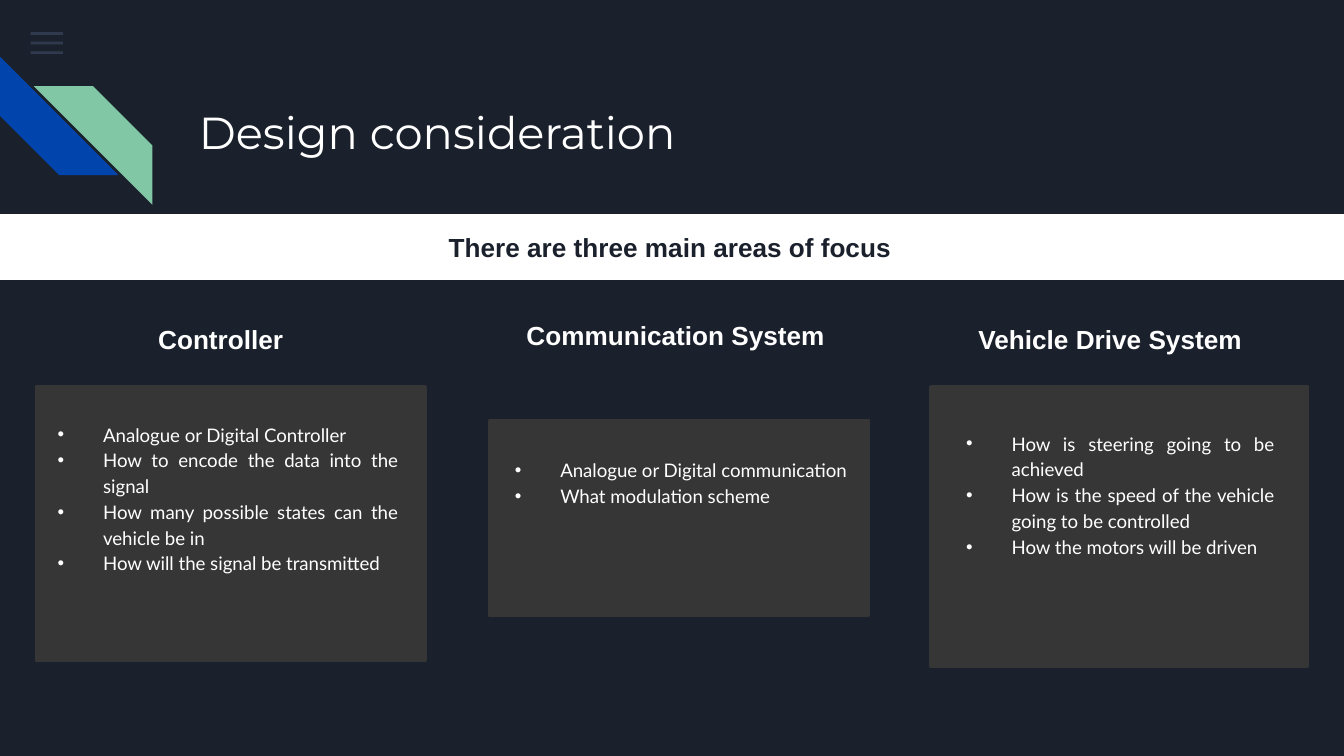
from pptx import Presentation
from pptx.util import Cm, Pt
from pptx.dml.color import RGBColor as RGB
from pptx.enum.shapes import MSO_SHAPE as Kind
from pptx.enum.text import PP_ALIGN as Align
from pptx.oxml.ns import qn
from lxml.etree import SubElement as Sub

WHITE, DARK, GREY = "FFFFFF", "1B212C", "363636"


def block(kind, place, color, edge=False):
    """Add a filled shape, with a 2 pt edge of the same colour if asked."""
    shape = slide.shapes.add_shape(kind, *map(Cm, place))
    shape.shadow.inherit = False
    shape.fill.solid()
    shape.fill.fore_color.rgb = RGB.from_string(color)
    if edge:
        shape.line.color.rgb = RGB.from_string(color)
        shape.line.width = Pt(2)
    else:
        shape.line.fill.background()
    return shape


def write(place, text, font, size, color, bold=False):
    """Add a wrapped text box, one paragraph per line of text."""
    box = slide.shapes.add_textbox(*map(Cm, place))
    frame = box.text_frame
    frame.word_wrap = True
    frame.text = text
    for para in frame.paragraphs:
        for run in para.runs:
            run.font.name = font
            run.font.size = Pt(size)
            run.font.bold = bold
            run.font.color.rgb = RGB.from_string(color)
    return frame


deck = Presentation()
deck.slide_width, deck.slide_height = Cm(25.4), Cm(14.29)
slide = deck.slides.add_slide(deck.slide_layouts[6])
slide.background.fill.solid()
slide.background.fill.fore_color.rgb = RGB.from_string(DARK)

# Menu icon
for row in range(3):
    bar = block(Kind.RECTANGLE, (0.58, 0.61 + 0.18 * row, 0.61, 0.05), "55688B")
    tint = bar.fill._xPr.find(qn("a:solidFill"))[0]
    Sub(tint, qn("a:alpha"), val="36000")

# Corner stripes
for left, top, turn, color in [(0, 1.07, 270, "0145AC"), (0.64, 1.63, 90, "82C7A5")]:
    stripe = block(Kind.DIAGONAL_STRIPE, (left, top, 2.24, 2.24), color)
    stripe.rotation = turn

# Title and banner
title = write((3.51, 1.73, 19.56, 2.54), "Design consideration", "Montserrat", 24, WHITE)
title.margin_left = title.margin_top = Cm(0.25)
block(Kind.RECTANGLE, (0, 4.09, 25.83, 1.17), WHITE, edge=True)
write((8.23, 4.24, 9.4, 0.86), "There are three main areas of focus", "Arial", 14, DARK, True)

# Columns: heading, its place, panel, list place, points
columns = [
    ("Controller", (2.74, 5.99), (0.69, 7.32, 7.34, 5.16), (0.43, 7.94, 7.34, 3.3),
     ["Analogue or Digital Controller",
      "How to encode the data into the signal",
      "How many possible states can the vehicle be in",
      "How will the signal be transmitted"]),
    ("Communication System", (9.7, 5.92), (9.25, 7.95, 7.16, 3.68), (9.07, 8.62, 7.62, 3),
     ["Analogue or Digital communication",
      "What modulation scheme"]),
    ("Vehicle Drive System", (18.24, 5.99), (17.6, 7.32, 7.11, 5.28), (17.6, 8.11, 6.73, 3.3),
     ["How is steering going to be achieved",
      "How is the speed of the vehicle going to be controlled",
      "How the motors will be driven"]),
]
for head, spot, panel, place, points in columns:
    block(Kind.RECTANGLE, panel, GREY, edge=True)
    write((*spot, 7, 0.86), head, "Arial", 14, WHITE, True)
    frame = write(place, "\n".join(points), "Lato", 10, WHITE)
    frame.margin_top = 0
    for para in frame.paragraphs:
        para.alignment = Align.JUSTIFY
        para.line_spacing = 1.15
        props = para._p.get_or_add_pPr()
        props.set("marL", str(Cm(1.27)))
        props.set("indent", str(-Cm(0.86)))
        Sub(props, qn("a:buFont"), typeface="Arial")
        Sub(props, qn("a:buChar"), char="•")

deck.save("out.pptx")
